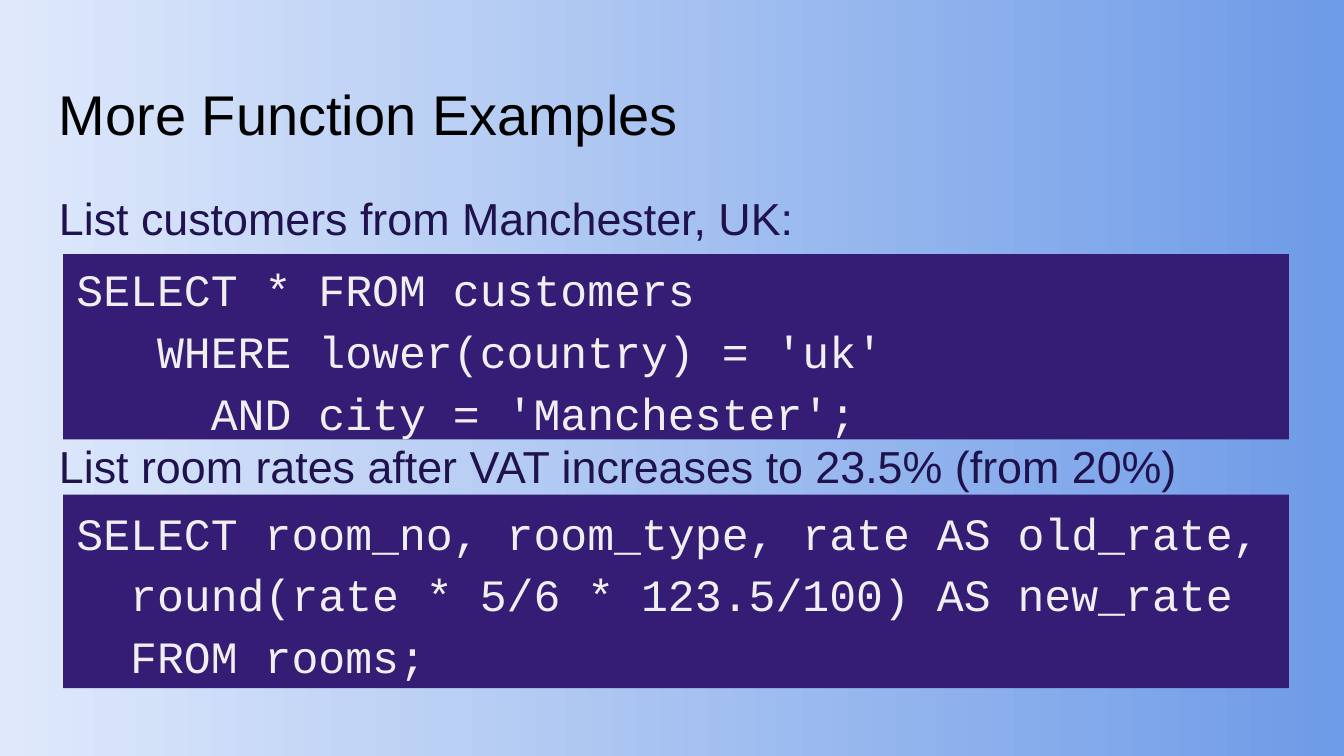
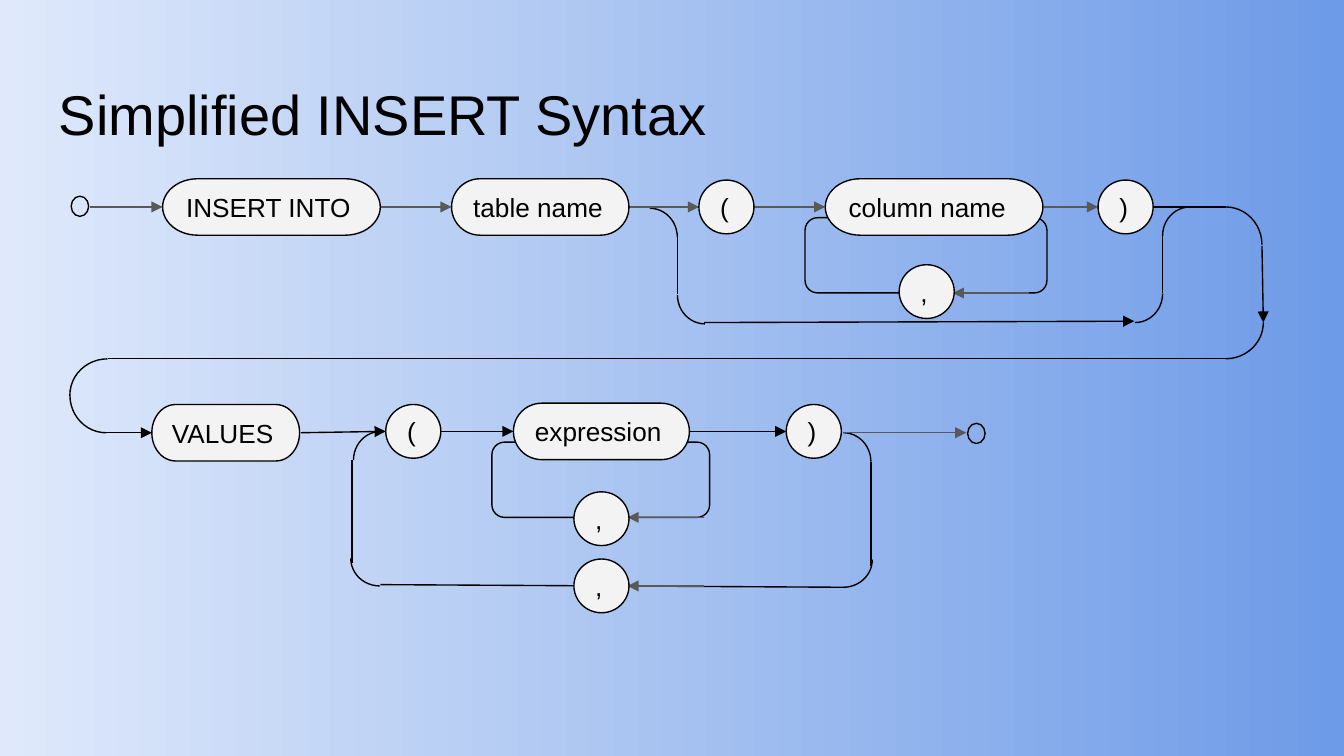
from dataclasses import dataclass

from lxml import etree
from pptx import Presentation
from pptx import util as u
from pptx.dml import color
from pptx.enum import shapes, text
from pptx.oxml import ns

EMU_PER_PX = 9144  # 100 px to the inch
SLIDE_WIDTH = 1000
KINDS = shapes.MSO_SHAPE


@dataclass(frozen=True)
class Theme:
    background_left: str = "DFE9FB"
    background_right: str = "6E9BE7"
    ink: str = "000000"
    body_ink: str = "20124D"
    code_fill: str = "351C75"
    code_ink: str = "EFEFEF"
    node_fill: str = "F3F3F3"
    grey: str = "595959"
    text_font: str = "Arial"
    code_font: str = "Courier New"
    title_size: int = 30
    body_size: int = 24
    node_size: int = 14
    line_width: float = 0.75
    line_spacing: float = 1.15


THEME = Theme()


# Shared helpers
def px(length):
    return u.Emu(length * EMU_PER_PX)


def rgb(value):
    return color.RGBColor.from_string(value)


def apply_format(target, **values):
    for name, value in values.items():
        setattr(target, name, value)


def write_text(shape, lines, size, ink, font=THEME.text_font, spacing=None,
               gap=0, top_inset=10, anchor=text.MSO_ANCHOR.TOP):
    frame = shape.text_frame
    apply_format(frame, word_wrap=True, vertical_anchor=anchor,
                 margin_left=px(10), margin_right=px(10),
                 margin_top=px(top_inset), margin_bottom=px(10))
    for index, line in enumerate(lines):
        paragraph = frame.add_paragraph() if index else frame.paragraphs[0]
        apply_format(paragraph, alignment=text.PP_ALIGN.LEFT)
        if spacing:
            paragraph.line_spacing = spacing
        if index and gap:
            paragraph.space_before = u.Pt(gap)
        run = paragraph.add_run()
        run.text = line
        apply_format(run.font, name=font, size=u.Pt(size))
        run.font.color.rgb = rgb(ink)


def add_text(slide, box, lines, **style):
    write_text(slide.shapes.add_textbox(*map(px, box)), lines, **style)


def add_outline(target, ink):
    target.line.color.rgb = rgb(ink)
    target.line.width = u.Pt(THEME.line_width)


def add_form(slide, kind, box, fill=None, line=THEME.ink):
    shape = slide.shapes.add_shape(kind, *map(px, box))
    shape.shadow.inherit = False
    if fill:
        shape.fill.solid()
        shape.fill.fore_color.rgb = rgb(fill)
    else:
        shape.fill.background()
    if line:
        add_outline(shape, line)
    else:
        shape.line.fill.background()
    return shape


def add_titled_slide(presentation, title):
    slide = presentation.slides.add_slide(presentation.slide_layouts[6])
    fill = slide.background.fill
    fill.gradient()
    fill.gradient_angle = 0
    stops = (THEME.background_left, THEME.background_right)
    for stop, value in zip(fill.gradient_stops, stops):
        stop.color.rgb = rgb(value)
    add_text(slide, (34, 49, 932, 63), [title],
             size=THEME.title_size, ink=THEME.ink)
    return slide


# Code panels
def add_code(slide, top, height, lines, top_inset):
    panel = add_form(slide, KINDS.RECTANGLE, (47, top, 912, height),
                     THEME.code_fill, line=None)
    write_text(panel, lines, THEME.body_size, THEME.code_ink, THEME.code_font,
               THEME.line_spacing, top_inset=top_inset)


# Syntax diagram parts
def add_node(slide, kind, box, label):
    node = add_form(slide, kind, box, THEME.node_fill)
    write_text(node, [label], THEME.node_size, THEME.ink,
               anchor=text.MSO_ANCHOR.MIDDLE)


def add_word(slide, left, top, width, label):
    add_node(slide, KINDS.FLOWCHART_TERMINATOR, (left, top, width, 42), label)


def add_symbol(slide, left, top, label):
    add_node(slide, KINDS.OVAL, (left, top, 41, 40), label)


def add_terminal(slide, left, top):
    add_form(slide, KINDS.OVAL, (left, top, 13, 15))


def add_loop(slide, left, top, width):
    add_form(slide, KINDS.FLOWCHART_ALTERNATE_PROCESS, (left, top, width, 56))


def add_bend(slide, left, top, size, rotation=0, flipped=False):
    bend = add_form(slide, KINDS.ARC, (left, top, *size))
    bend.rotation = rotation
    if flipped:
        bend._element.spPr.get_or_add_xfrm().set("flipH", "1")


def add_rail(slide, ends, ink=THEME.ink, arrow=False):
    rail = slide.shapes.add_connector(shapes.MSO_CONNECTOR.STRAIGHT,
                                      *map(px, ends))
    add_outline(rail, ink)
    properties = rail._element.spPr
    if arrow:
        line = properties.find(ns.qn("a:ln"))
        etree.SubElement(line, ns.qn("a:tailEnd"), type="triangle")
    etree.SubElement(properties, ns.qn("a:effectLst"))


# Slides
def build_functions(presentation):
    slide = add_titled_slide(presentation, "More Function Examples")
    add_text(slide, (34, 126, 932, 374),
             ["List customers from Manchester, UK:",
              "List room rates after VAT increases to 23.5% (from 20%)"],
             size=THEME.body_size, ink=THEME.body_ink,
             spacing=THEME.line_spacing, gap=99.5)
    add_code(slide, 189, 138,
             ["SELECT * FROM customers",
              "   WHERE lower(country) = 'uk'",
              "     AND city = 'Manchester';"], top_inset=0)
    add_code(slide, 368, 144,
             ["SELECT room_no, room_type, rate AS old_rate,",
              "  round(rate * 5/6 * 123.5/100) AS new_rate",
              "  FROM rooms;"], top_inset=2)


def build_insert(presentation):
    slide = add_titled_slide(presentation, "Simplified INSERT Syntax")

    # Repeat loops behind the words
    add_loop(slide, 599, 162, 180)
    add_loop(slide, 366, 329, 162)

    # Rounded corners: row change, column bypass, values repeat
    large, small = (54, 56), (41, 43)
    for bend in (
        (885, 154, large), (885, 212, large, 90),
        (53, 266, large, 270), (52, 266, large, 180),
        (463, 155, small), (504, 198, small, 180),
        (865, 154, small, 0, True), (824, 197, small, 180, True),
        (607, 322, small), (607, 395, small, 90),
        (263, 321, small, 0, True), (262, 394, small, 270, True),
    ):
        add_bend(slide, *bend)

    # Plain rails
    for ends in ((858, 154, 912, 154), (912, 267, 80, 267),
                 (504, 176, 504, 219), (865, 175, 865, 218),
                 (648, 344, 648, 421), (262, 342, 262, 419),
                 (283, 435, 628, 437)):
        add_rail(slide, ends)

    # Arrows
    for ends in ((939, 183, 940, 240), (79, 322, 113, 322),
                 (224, 322, 287, 321), (328, 321, 382, 321),
                 (512, 321, 585, 321), (524, 240, 844, 239)):
        add_rail(slide, ends, arrow=True)
    for start, end, y in ((67, 121, 154), (283, 336, 154), (467, 520, 154),
                          (561, 614, 154), (777, 817, 154), (766, 709, 218),
                          (524, 467, 385), (524, 467, 436), (628, 719, 322)):
        add_rail(slide, (start, y, end, y), THEME.grey, arrow=True)

    # Words and symbols
    for word in ((121, 133, 162, "INSERT INTO"), (336, 133, 132, "table name"),
                 (614, 133, 162, "column name"), (113, 301, 110, "VALUES"),
                 (382, 300, 131, "expression")):
        add_word(slide, *word)
    for symbol in ((520, 134, "("), (817, 134, ")"), (669, 197, ","),
                   (287, 301, "("), (585, 301, ")"), (427, 366, ","),
                   (427, 416, ",")):
        add_symbol(slide, *symbol)
    add_terminal(slide, 53, 146)
    add_terminal(slide, 720, 315)


def main():
    presentation = Presentation()
    width = px(SLIDE_WIDTH)
    apply_format(presentation, slide_width=width,
                 slide_height=u.Emu(width * 9 // 16))
    build_functions(presentation)
    build_insert(presentation)
    presentation.save("out.pptx")


if __name__ == "__main__":
    main()
